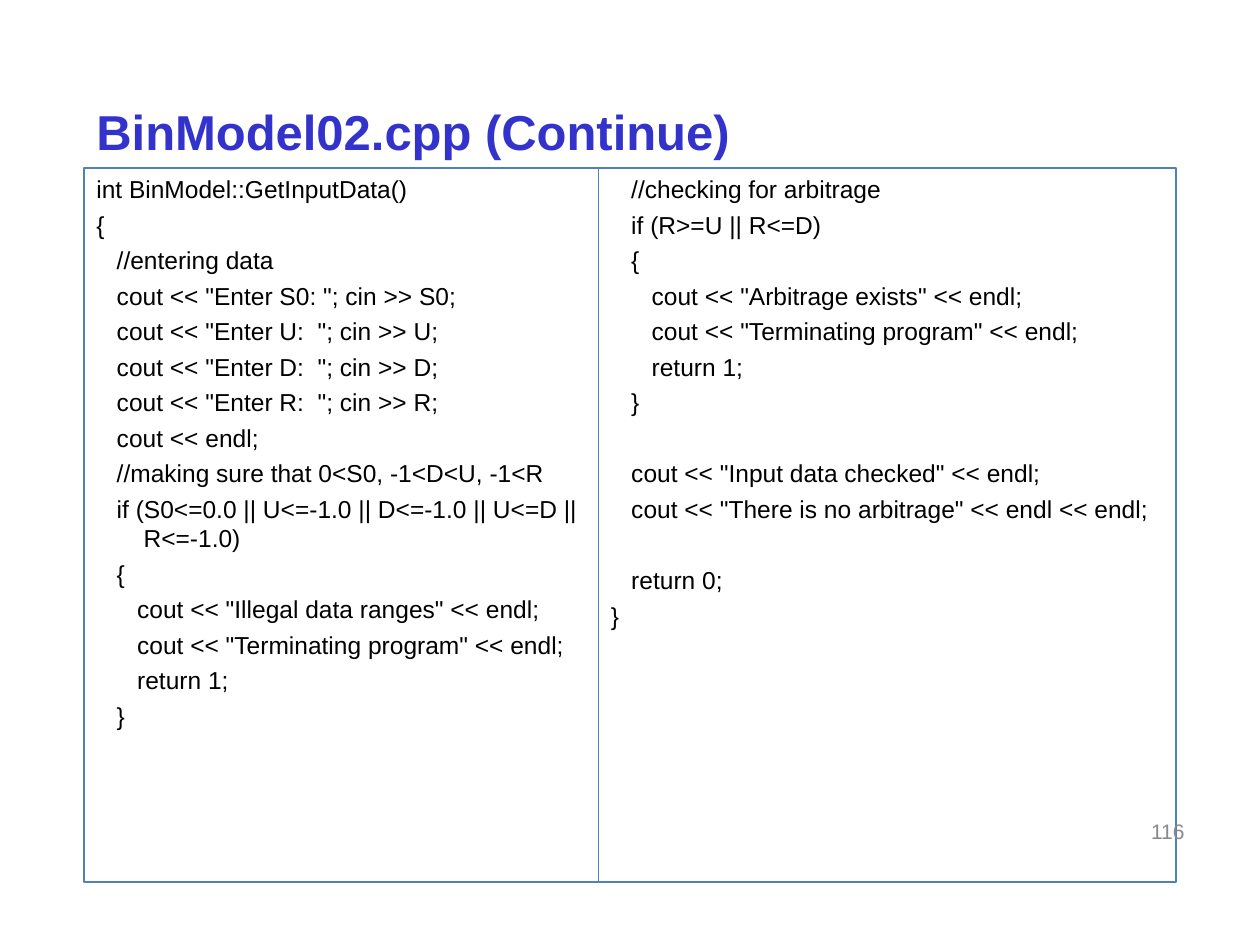
from pptx import Presentation
from pptx.dml.color import RGBColor
from pptx.enum.shapes import MSO_SHAPE
from pptx.enum.text import MSO_ANCHOR, PP_ALIGN
from pptx.util import Pt

PX = 7620  # EMU in one px, at 120 px to the inch
FONT = "Arial"
TITLE_BLUE = RGBColor(0x33, 0x33, 0xCC)
BORDER_BLUE = RGBColor(0x4F, 0x81, 0xBD)
BLACK = RGBColor(0, 0, 0)
GRAY = RGBColor(0x89, 0x89, 0x89)

CODE_SIZE = 14
LINE_GAP = 3.5
BLANK_LINE = 20.3
HANGING_INDENT = 45

INPUT_CODE = '''int BinModel::GetInputData()
{
   //entering data
   cout << "Enter S0: "; cin >> S0;
   cout << "Enter U:  "; cin >> U;
   cout << "Enter D:  "; cin >> D;
   cout << "Enter R:  "; cin >> R;
   cout << endl;
   //making sure that 0<S0, -1<D<U, -1<R
   if (S0<=0.0 || U<=-1.0 || D<=-1.0 || U<=D || R<=-1.0)
   {
      cout << "Illegal data ranges" << endl;
      cout << "Terminating program" << endl;
      return 1;
   }'''

ARBITRAGE_CODE = '''   //checking for arbitrage
   if (R>=U || R<=D)
   {
      cout << "Arbitrage exists" << endl;
      cout << "Terminating program" << endl;
      return 1;
   }

   cout << "Input data checked" << endl;
   cout << "There is no arbitrage" << endl << endl;

   return 0;
}'''


def scaled(box):
    return [length * PX for length in box]


def style(para, size, color, bold=False):
    for span in para.runs:
        span.font.name = FONT
        span.font.size = Pt(size)
        span.font.bold = bold
        span.font.color.rgb = color


def add_label(page, box, text, size, color, bold=False, align=PP_ALIGN.LEFT):
    """One line of text, centred vertically in its box."""
    frame = page.shapes.add_textbox(*scaled(box)).text_frame
    frame.word_wrap = True
    frame.vertical_anchor = MSO_ANCHOR.MIDDLE
    frame.text = text
    frame.paragraphs[0].alignment = align
    style(frame.paragraphs[0], size, color, bold)


def add_code_panel(page, box, code):
    """Outlined panel of code; an empty source line becomes extra spacing."""
    panel = page.shapes.add_shape(MSO_SHAPE.RECTANGLE, *scaled(box))
    panel.shadow.inherit = False
    panel.fill.background()
    panel.line.color.rgb = BORDER_BLUE
    panel.line.width = Pt(0.75)
    frame = panel.text_frame
    frame.word_wrap = True
    frame.vertical_anchor = MSO_ANCHOR.TOP

    para, gap = frame.paragraphs[0], 0
    for line in code.split("\n"):
        if not line:
            gap += BLANK_LINE
            continue
        if para.text:
            para = frame.add_paragraph()
        para.text = line
        para.alignment = PP_ALIGN.LEFT
        para.space_before = Pt(gap)
        properties = para._p.get_or_add_pPr()
        properties.set("marL", str(HANGING_INDENT * PX))
        properties.set("indent", str(-HANGING_INDENT * PX))
        style(para, CODE_SIZE, BLACK)
        gap = LINE_GAP


def main():
    deck = Presentation()
    deck.slide_width, deck.slide_height = 1200 * PX, 900 * PX
    page = deck.slides.add_slide(deck.slide_layouts[6])

    # Title
    add_label(page, (80, 90, 1040, 70), "BinModel02.cpp (Continue)",
              28, TITLE_BLUE, bold=True)

    # Two adjoining code panels
    left, top, height = 80, 160, 680
    for width, code in ((490, INPUT_CODE), (550, ARBITRAGE_CODE)):
        add_code_panel(page, (left, top, width, height), code)
        left += width

    # Page number
    add_label(page, (860, 780, 280, 24), "116", 12, GRAY, align=PP_ALIGN.RIGHT)

    deck.save("out.pptx")


if __name__ == "__main__":
    main()
